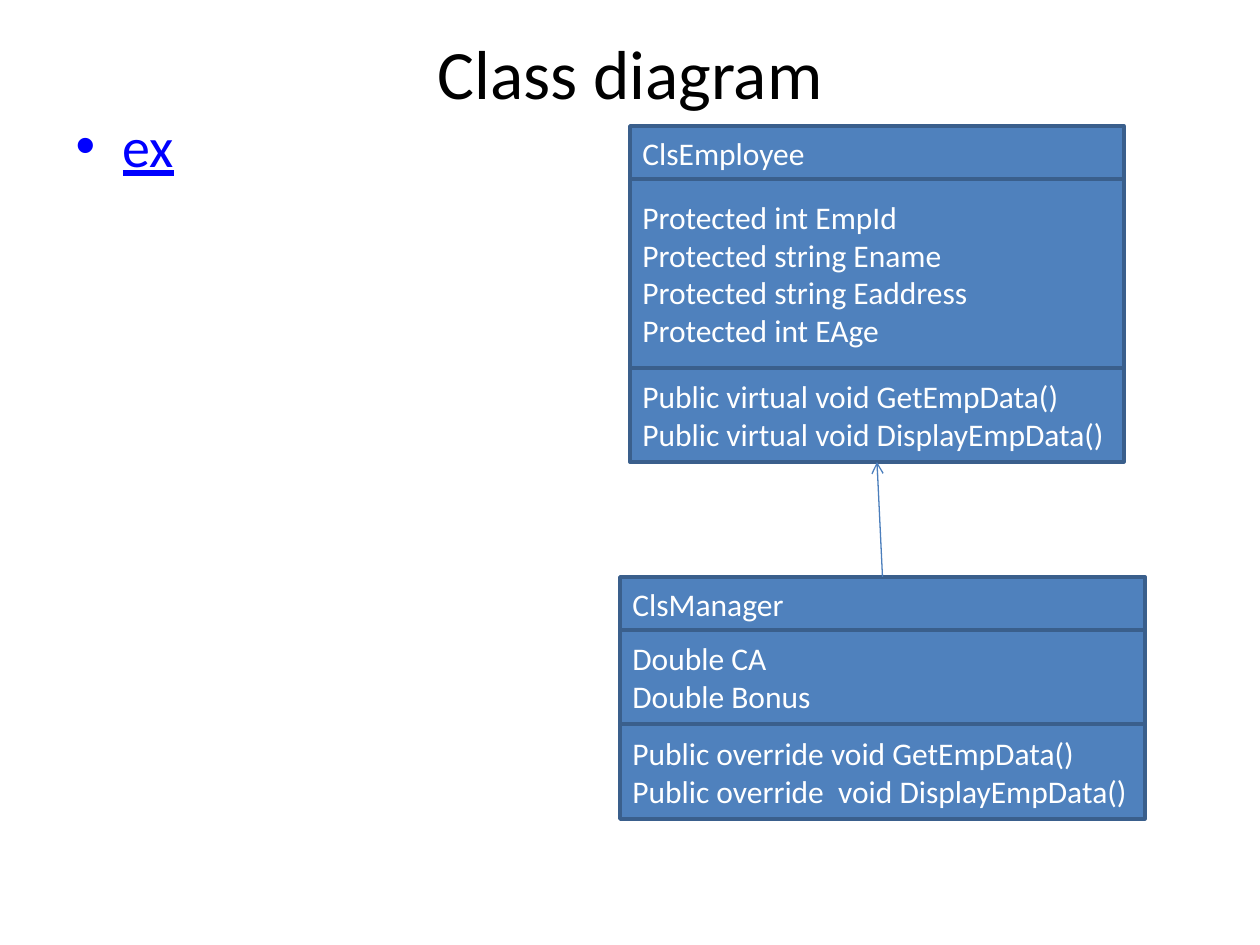
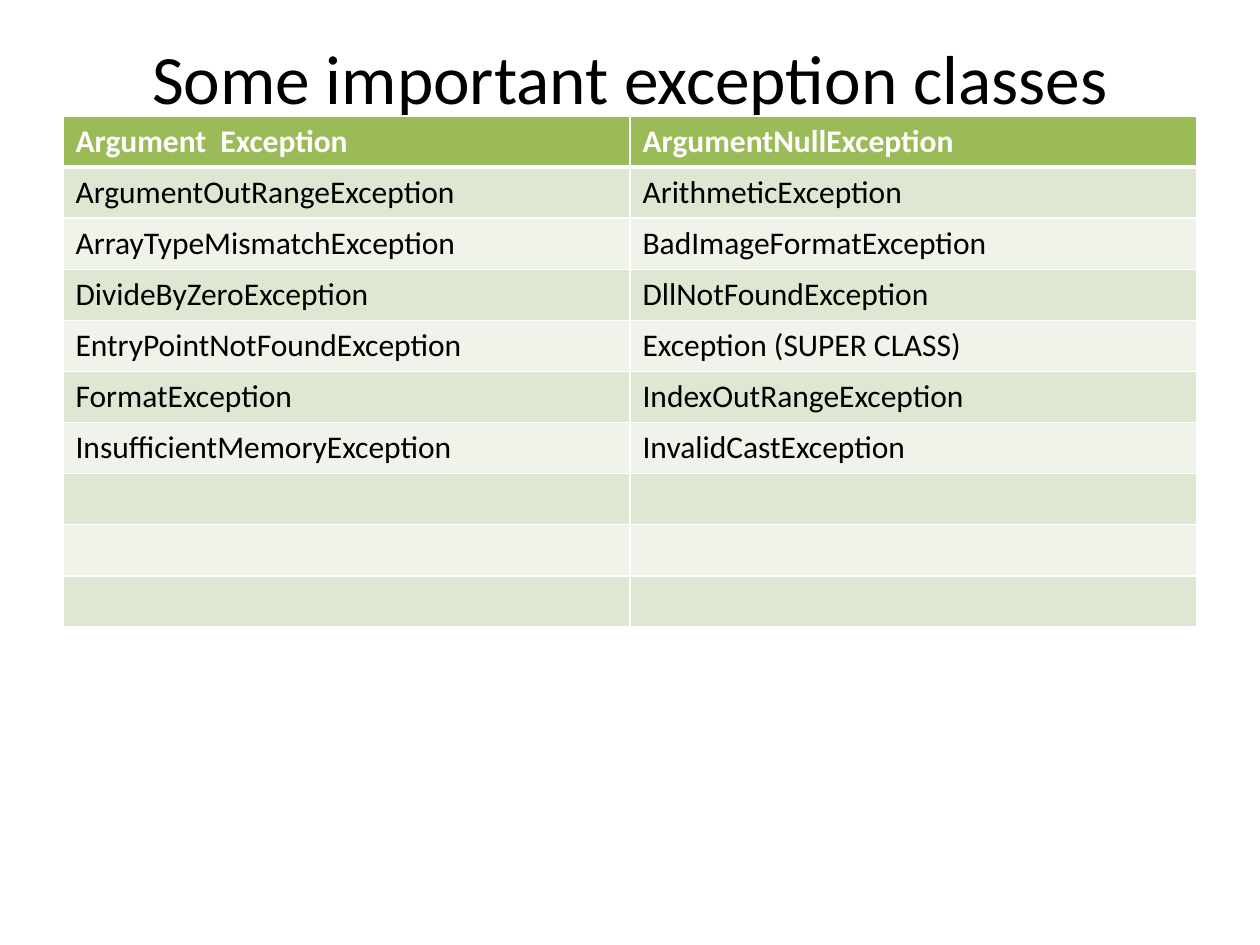
import pptx
import pptx.util
import pptx.dml.color
import pptx.enum.shapes
import pptx.enum.text
import pptx.oxml
import pptx.oxml.ns

RGBColor = pptx.dml.color.RGBColor
Pt = pptx.util.Pt
qn = pptx.oxml.ns.qn
ALIGN = pptx.enum.text.PP_ALIGN
ANCHOR = pptx.enum.text.MSO_ANCHOR

BLACK = RGBColor(0x00, 0x00, 0x00)
WHITE = RGBColor(0xFF, 0xFF, 0xFF)
LINK = RGBColor(0x00, 0x00, 0xFF)
BOX_FILL = RGBColor(0x4F, 0x81, 0xBD)
BOX_LINE = RGBColor(0x3A, 0x5F, 0x8C)
ARROW = RGBColor(0x4B, 0x7E, 0xBC)
HEADER = RGBColor(0x9B, 0xBB, 0x59)
BANDS = [RGBColor(0xDE, 0xE7, 0xD1), RGBColor(0xEF, 0xF3, 0xEA)]

FONT = "Calibri"
MARGIN, TOP, CONTENT_W = 63, 38, 1134
ROW_H = 51

EMPLOYEE = {
    "box": (630, 126, 494),
    "parts": [
        (53, ["ClsEmployee"]),
        (189, ["Protected int EmpId", "Protected string Ename",
               "Protected string Eaddress", "Protected int EAge"]),
        (94, ["Public virtual void GetEmpData()",
              "Public virtual void DisplayEmpData()"]),
    ],
}
MANAGER = {
    "box": (620, 577, 525),
    "parts": [
        (53, ["ClsManager"]),
        (94, ["Double CA", "Double Bonus"]),
        (95, ["Public override void GetEmpData()",
              "Public override  void DisplayEmpData()"]),
    ],
}
EXCEPTIONS = [
    ("Argument  Exception", "ArgumentNullException"),
    ("ArgumentOutRangeException", "ArithmeticException"),
    ("ArrayTypeMismatchException", "BadImageFormatException"),
    ("DivideByZeroException", "DllNotFoundException"),
    ("EntryPointNotFoundException", "Exception (SUPER CLASS)"),
    ("FormatException", "IndexOutRangeException"),
    ("InsufficientMemoryException", "InvalidCastException"),
    ("", ""),
    ("", ""),
    ("", ""),
]


def px(n):
    return pptx.util.Emu(round(n * 914400 / 126))


def style_text(tf, size, color, align=ALIGN.LEFT, bold=False, underline=None):
    for p in tf.paragraphs:
        p.alignment = align
        for r in p.runs:
            r.font.name = FONT
            r.font.size = Pt(size)
            r.font.color.rgb = color
            r.font.bold = bold
            r.font.underline = underline


def fill_placeholder(sp, text, top, height, anchor):
    sp.left, sp.top, sp.width, sp.height = map(px, (MARGIN, top, CONTENT_W, height))
    tf = sp.text_frame
    tf.text = text
    tf.auto_size = pptx.enum.text.MSO_AUTO_SIZE.NONE
    tf.vertical_anchor = anchor
    return tf


def add_slide(prs, layout, title, title_h):
    s = prs.slides.add_slide(prs.slide_layouts[layout])
    tf = fill_placeholder(s.shapes.title, title, TOP, title_h, ANCHOR.MIDDLE)
    style_text(tf, 39.6, BLACK, ALIGN.CENTER)
    return s


def add_class(s, cls):
    left, top, width = cls["box"]
    boxes = []
    for height, lines in cls["parts"]:
        sp = s.shapes.add_shape(pptx.enum.shapes.MSO_SHAPE.RECTANGLE,
                                px(left), px(top), px(width), px(height))
        sp.shadow.inherit = False
        sp.fill.solid()
        sp.fill.fore_color.rgb = BOX_FILL
        sp.line.color.rgb = BOX_LINE
        sp.line.width = Pt(2)
        tf = sp.text_frame
        tf.text = "\n".join(lines)
        tf.word_wrap = True
        tf.vertical_anchor = ANCHOR.MIDDLE
        style_text(tf, 18, WHITE)
        boxes.append(sp)
        top += height
    return boxes


def add_arrow(s, source, target):
    cn = s.shapes.add_connector(pptx.enum.shapes.MSO_CONNECTOR.STRAIGHT, 0, 0, 0, 0)
    cn.begin_connect(source, 0)
    cn.end_connect(target, 2)
    cn.line.color.rgb = ARROW
    cn.line.width = Pt(0.75)
    ln = cn.line._get_or_add_ln()
    ln.append(pptx.oxml.parse_xml(
        f'<a:tailEnd {pptx.oxml.ns.nsdecls("a")} type="arrow"/>'))
    cn._element.spPr.append(pptx.oxml.parse_xml(
        f'<a:effectLst {pptx.oxml.ns.nsdecls("a")}/>'))


def set_borders(cell, widths):
    tc_pr = cell._tc.get_or_add_tcPr()
    for side, width in zip("LRTB", widths):
        tc_pr.append(pptx.oxml.parse_xml(
            f'<a:ln{side} {pptx.oxml.ns.nsdecls("a")} w="{Pt(width)}">'
            f'<a:solidFill><a:srgbClr val="{WHITE}"/></a:solidFill></a:ln{side}>'))


def add_exception_table(s, top):
    rows, cols = len(EXCEPTIONS), len(EXCEPTIONS[0])
    table = s.shapes.add_table(rows, cols, px(MARGIN), px(top),
                               px(CONTENT_W), px(rows * ROW_H)).table
    for i, names in enumerate(EXCEPTIONS):
        table.rows[i].height = px(ROW_H)
        is_header = i == 0
        for j, name in enumerate(names):
            cell = table.cell(i, j)
            set_borders(cell, (1, 1, 3 if i == 1 else 1, 3 if is_header else 1))
            cell.fill.solid()
            cell.fill.fore_color.rgb = HEADER if is_header else BANDS[(i - 1) % 2]
            cell.text_frame.text = name
            style_text(cell.text_frame, 18, WHITE if is_header else BLACK,
                       bold=is_header)


def main():
    prs = pptx.Presentation()
    prs.slide_width, prs.slide_height = px(1260), px(945)

    s = add_slide(prs, 1, "Class diagram", 67)
    tf = fill_placeholder(s.placeholders[1], "ex", TOP + 67, 739, ANCHOR.TOP)
    style_text(tf, 32, LINK, underline=True)
    employee = add_class(s, EMPLOYEE)
    manager = add_class(s, MANAGER)
    add_arrow(s, manager[0], employee[-1])

    s = add_slide(prs, 5, "Some important exception classes", 78)
    add_exception_table(s, TOP + 78)

    prs.save("out.pptx")


if __name__ == "__main__":
    main()
